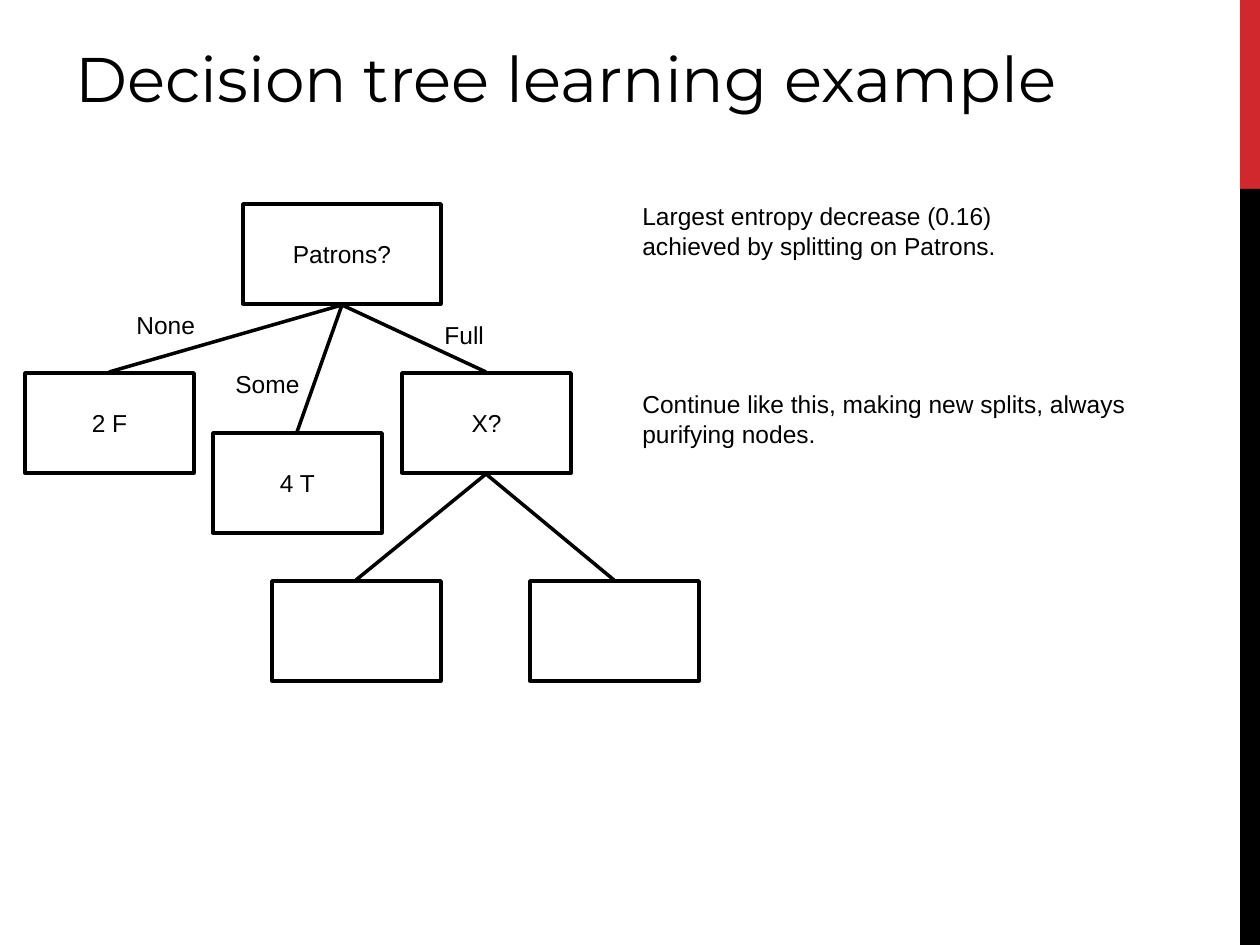
from lxml import etree
from pptx import Presentation
from pptx import util as u
from pptx.dml.color import RGBColor
from pptx.enum import shapes, text
from pptx.oxml import ns

PX = 914400 / 126
BLACK = RGBColor(0x00, 0x00, 0x00)
WHITE = RGBColor(0xFF, 0xFF, 0xFF)
RED = RGBColor(0xD1, 0x28, 0x2E)

NODE_WIDTH, NODE_HEIGHT = 169, 100
LINE_WIDTH = u.Pt(2)


def emu(*lengths):
    return [u.Emu(round(length * PX)) for length in lengths]


def write(frame, words, size=14, font="Arial", color=BLACK,
          align=text.PP_ALIGN.LEFT, anchor=text.MSO_ANCHOR.TOP, wrap=True):
    frame.word_wrap = wrap
    frame.vertical_anchor = anchor
    para = frame.paragraphs[0]
    para.text = words
    para.alignment = align
    for span in para.runs:
        span.font.size = u.Pt(size)
        span.font.name = font
        span.font.color.rgb = color


def add_text(page, words, left, top, width, height, **style):
    box = page.shapes.add_textbox(*emu(left, top, width, height))
    write(box.text_frame, words, **style)
    return box


def add_box(page, left, top, width, height, fill=None, outline=None):
    box = page.shapes.add_shape(shapes.MSO_SHAPE.RECTANGLE,
                                *emu(left, top, width, height))
    box.shadow.inherit = False
    if fill is None:
        box.fill.background()
    else:
        box.fill.solid()
        box.fill.fore_color.rgb = fill
    if outline is None:
        box.line.fill.background()
    else:
        box.line.color.rgb = outline
        box.line.width = LINE_WIDTH
    return box


def add_node(page, words, left, top, width=NODE_WIDTH, fill=None):
    """Draw a tree node and return its top and bottom joining points."""
    box = add_box(page, left, top, width, NODE_HEIGHT, fill, BLACK)
    if words:
        write(box.text_frame, words, align=text.PP_ALIGN.CENTER,
              anchor=text.MSO_ANCHOR.MIDDLE, wrap=False)
    middle = left + width // 2
    return (middle, top - 1), (middle, top + NODE_HEIGHT + 1)


def add_branch(page, start, end):
    line = page.shapes.add_connector(shapes.MSO_CONNECTOR.STRAIGHT,
                                     *emu(*start, *end))
    line.line.color.rgb = BLACK
    line.line.width = LINE_WIDTH
    etree.SubElement(line._element.spPr, ns.qn("a:effectLst"))


def main():
    deck = Presentation()
    deck.slide_width, deck.slide_height = emu(1260, 945)
    page = deck.slides.add_slide(deck.slide_layouts[6])

    # Side band
    add_box(page, 1240, 0, 20, 189, fill=RED)
    add_box(page, 1240, 189, 20, 756, fill=BLACK)

    # Title
    title = add_text(page, "Decision tree learning example", 63, 21, 1114, 107,
                     size=36, font="Montserrat", anchor=text.MSO_ANCHOR.BOTTOM)
    frame = title.text_frame
    frame.margin_top = frame.margin_bottom = u.Inches(0.1)

    # Tree nodes and branches
    _, root = add_node(page, "Patrons?", 243, 204, width=198)
    for words, left, top in (("2 F", 25, 373), ("4 T", 213, 433)):
        joint, _ = add_node(page, words, left, top)
        add_branch(page, root, joint)
    joint, split = add_node(page, "X?", 402, 373, fill=WHITE)
    add_branch(page, root, joint)
    for left in (272, 530):
        joint, _ = add_node(page, "", left, 581)
        add_branch(page, split, joint)

    # Branch labels
    for words, left, top, width in (("None", 124, 304, 88),
                                    ("Some", 223, 363, 96),
                                    ("Full", 432, 314, 68)):
        add_text(page, words, left, top, width, 42, wrap=False)

    # Remarks
    for words, top in (
        ("Largest entropy decrease (0.16)\nachieved by splitting on Patrons.", 195),
        ("Continue like this, making new splits, always purifying nodes.", 383),
    ):
        add_text(page, words, 630, top, 556, 88)

    deck.save("out.pptx")


if __name__ == "__main__":
    main()
